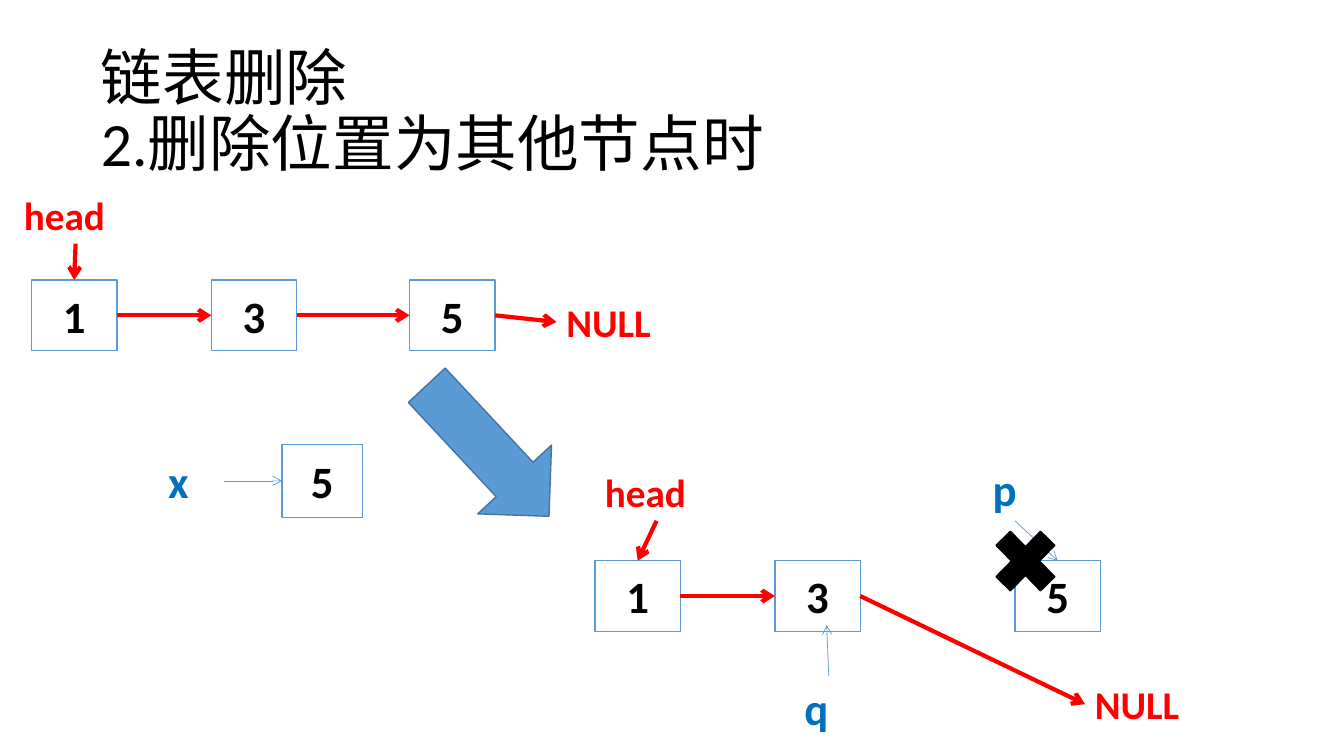
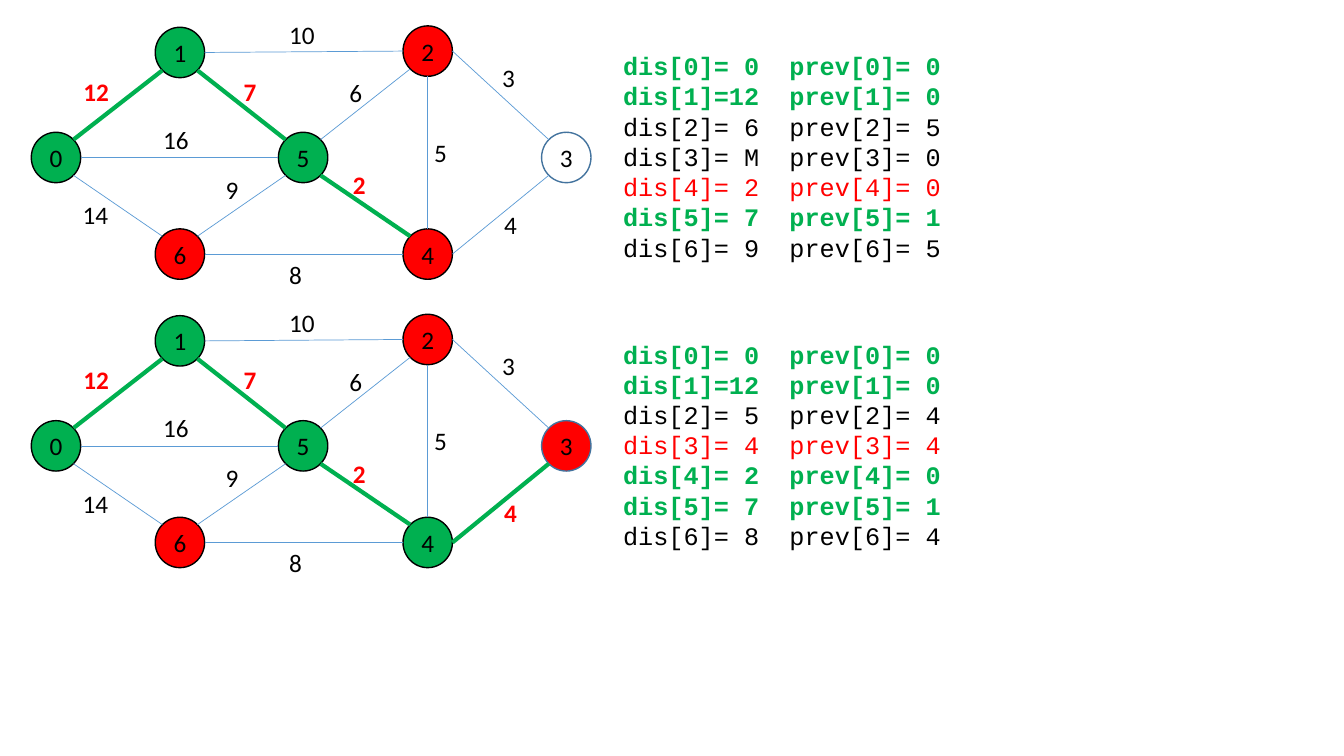
from pptx import Presentation
from pptx import util as u
from pptx.dml import color
from pptx.enum import shapes, text
from pptx.oxml import xmlchemy as xml

Pt = u.Pt
KIND = shapes.MSO_SHAPE
BLACK, WHITE, RED, GREEN = "000000", "FFFFFF", "FF0000", "00B050"
BLUE, NAVY, NAME = "5B9BD5", "43739E", "0070C0"
SIDES = {"N": (0, -1), "S": (0, 1), "W": (-1, 0), "E": (1, 0),
         "NW": (-0.71, -0.71), "NE": (0.71, -0.71),
         "SW": (-0.71, 0.71), "SE": (0.71, 0.71)}


def rgb(code):
    return color.RGBColor.from_string(code)


def side(shape, key):
    dx, dy = SIDES[key]
    x = shape.left + shape.width * (1 + dx) / 2
    y = shape.top + shape.height * (1 + dy) / 2
    return x / Pt(1), y / Pt(1)


class Deck:
    font = "Calibri"

    def __init__(self):
        self.file = Presentation()
        self.file.slide_width = Pt(960)
        self.file.slide_height = Pt(540)

    def page(self):
        self.slide = self.file.slides.add_slide(self.file.slide_layouts[6])

    def style(self, para, size, tint, bold=False, font=None):
        para.font.name = font or self.font
        para.font.size = Pt(size)
        para.font.bold = bold
        para.font.color.rgb = rgb(tint)

    def frame(self, x, y, w, h):
        frame = self.slide.shapes.add_textbox(Pt(x), Pt(y), Pt(w), Pt(h)).text_frame
        frame.word_wrap = True
        return frame

    def title(self, words):
        frame = self.frame(65, 29, 828, 104)
        frame.vertical_anchor = text.MSO_ANCHOR.MIDDLE
        para = frame.paragraphs[0]
        para.text = words
        para.line_spacing = 0.9
        self.style(para, 44, BLACK)

    def label(self, words, x, y, size=28, tint=RED, bold=True, w=88):
        para = self.frame(x, y, w, size * 1.5).paragraphs[0]
        para.text = words
        self.style(para, size, tint, bold)

    def shape(self, kind, x, y, w, h, fill, edge, words="", size=18, bold=False):
        shape = self.slide.shapes.add_shape(kind, Pt(x), Pt(y), Pt(w), Pt(h))
        shape.shadow.inherit = False
        shape.fill.solid()
        shape.fill.fore_color.rgb = rgb(fill)
        shape.line.color.rgb = rgb(edge)
        shape.line.width = Pt(1)
        if words:
            shape.text_frame.vertical_anchor = text.MSO_ANCHOR.MIDDLE
            para = shape.text_frame.paragraphs[0]
            para.text = words
            para.alignment = text.PP_ALIGN.CENTER
            self.style(para, size, BLACK, bold)
        return shape

    def box(self, words, x, y, w=61, h=50.5):
        return self.shape(KIND.RECTANGLE, x, y, w, h, WHITE, BLUE, words, 32, True)

    def line(self, start, end, tint=BLUE, width=0.5, arrow=False):
        ends = [Pt(v) for v in (*start, *end)]
        line = self.slide.shapes.add_connector(shapes.MSO_CONNECTOR.STRAIGHT, *ends)
        line.line.color.rgb = rgb(tint)
        line.line.width = Pt(width)
        if arrow:
            tip = xml.OxmlElement("a:tailEnd")
            tip.set("type", "arrow")
            line.line._get_or_add_ln().append(tip)
        line._element.spPr.append(xml.OxmlElement("a:effectLst"))

    def chain(self, y, lefts, linked, head, null):
        boxes = [self.box(n, x, y) for n, x in zip("135", lefts)]
        self.label("head", *head)
        self.label("NULL", *null)
        chain = boxes[:linked]
        links = [((head[0] + 44, head[1] + 41), side(chain[0], "N"))]
        links += [(side(a, "E"), side(b, "W")) for a, b in zip(chain, chain[1:])]
        links.append((side(chain[-1], "E"), (null[0], null[1] + 20.5)))
        for start, end in links:
            self.line(start, end, RED, 3, True)
        return boxes

    def graph(self, top, fills, tree):
        nodes = {}
        for name, (x, y) in NODES.items():
            edge = NAVY if name == "3" else BLACK
            nodes[name] = self.shape(KIND.OVAL, x - 17.65, top + y - 18, 35.3, 36,
                                     TINTS[fills[int(name)]], edge, name)
        for a, at, b, to, cost, x, y in EDGES:
            used = a + b in tree
            self.line(side(nodes[a], at), side(nodes[b], to),
                      GREEN if used else BLUE, 3 if used else 0.5)
            self.label(cost, x, top + y, 18, RED if used else BLACK, used, 40)

    def state(self, top, rows, tints):
        frame = self.frame(438, top + 32.5, 254, 160)
        for i, (dis, prev) in enumerate(rows):
            para = frame.paragraphs[0] if i == 0 else frame.add_paragraph()
            para.text = f"dis[{i}]={dis:>2}  prev[{i}]= {prev}"
            para.line_spacing = Pt(21.6)
            tint = TINTS[tints[i]]
            self.style(para, 18, tint, tint == GREEN, "Courier New")


TINTS = {"g": GREEN, "r": RED, "w": WHITE, "k": BLACK}
NODES = {"0": (40, 112.5), "1": (128.5, 37.5), "6": (128.5, 181.5),
         "2": (305.5, 36.5), "4": (305.5, 181.5), "5": (216.5, 112.5),
         "3": (404.5, 112.5)}
EDGES = [
    ("0", "NE", "1", "SW", "12", 52.5, 51),
    ("0", "SE", "6", "NW", "14", 52, 139),
    ("1", "SE", "5", "NW", "7", 167, 51),
    ("6", "E", "4", "W", "8", 199.5, 181.5),
    ("3", "SW", "4", "E", "4", 353, 146),
    ("1", "E", "2", "W", "10", 199.5, 10),
    ("2", "E", "3", "NW", "3", 351.5, 41),
    ("2", "S", "4", "N", "5", 303, 94.5),
    ("5", "NE", "2", "SW", "6", 242.5, 52),
    ("5", "SW", "6", "NE", "9", 154, 121),
    ("5", "SE", "4", "NW", "2", 245, 117.5),
    ("0", "E", "5", "W", "16", 109.5, 85),
]
STEPS = [
    ("ggrwrgr", {"01", "15", "54"}, "ggkkrgk",
     [(0, 0), (12, 0), (6, 5), ("M", 0), (2, 0), (7, 1), (9, 5)]),
    ("ggrrggr", {"01", "15", "54", "34"}, "ggkrggk",
     [(0, 0), (12, 0), (5, 4), (4, 4), (2, 0), (7, 1), (8, 4)]),
]


def remove(deck):
    deck.page()
    deck.title("链表删除\v2.删除位置为其他节点时")
    deck.chain(200, (22.5, 151, 292.5), 3, (10, 133), (397.5, 209.5))
    found = deck.box("5", 201.5, 317.5, 57.5, 52)
    arrow = deck.shape(KIND.RIGHT_ARROW, 284.5, 286, 128, 72, BLUE, NAVY)
    arrow.rotation = 47
    last = deck.chain(400.5, (425, 553.5, 725), 2, (425, 331), (775, 482.5))[2]
    for name, x, y in (("x", 113, 320.5), ("q", 567.5, 482.5), ("p", 702, 326)):
        deck.label(name, x, y, 32, NAME, True, 47)
    for start, end in (((160, 343.5), side(found, "W")),
                       ((592, 483), (590.5, 446.5)),
                       ((725, 372), side(last, "N"))):
        deck.line(start, end, arrow=True)
    deck.shape(KIND.MATH_MULTIPLY, 702, 369.5, 61, 62.5, BLACK, BLACK)


def paths(deck):
    deck.page()
    for i, (fills, tree, tints, rows) in enumerate(STEPS):
        deck.graph(206 * i, fills, tree)
        deck.state(206 * i, rows, tints)


def main():
    deck = Deck()
    remove(deck)
    paths(deck)
    deck.file.save("out.pptx")


if __name__ == "__main__":
    main()
